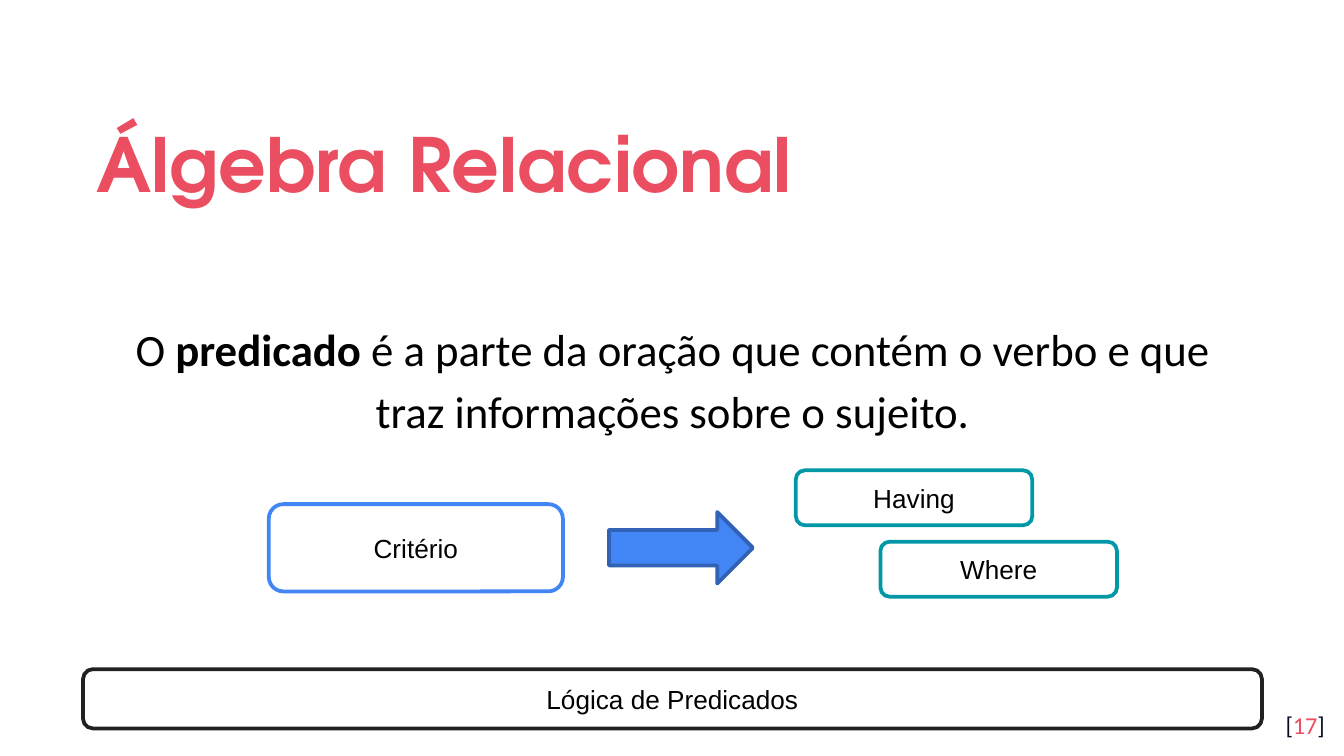
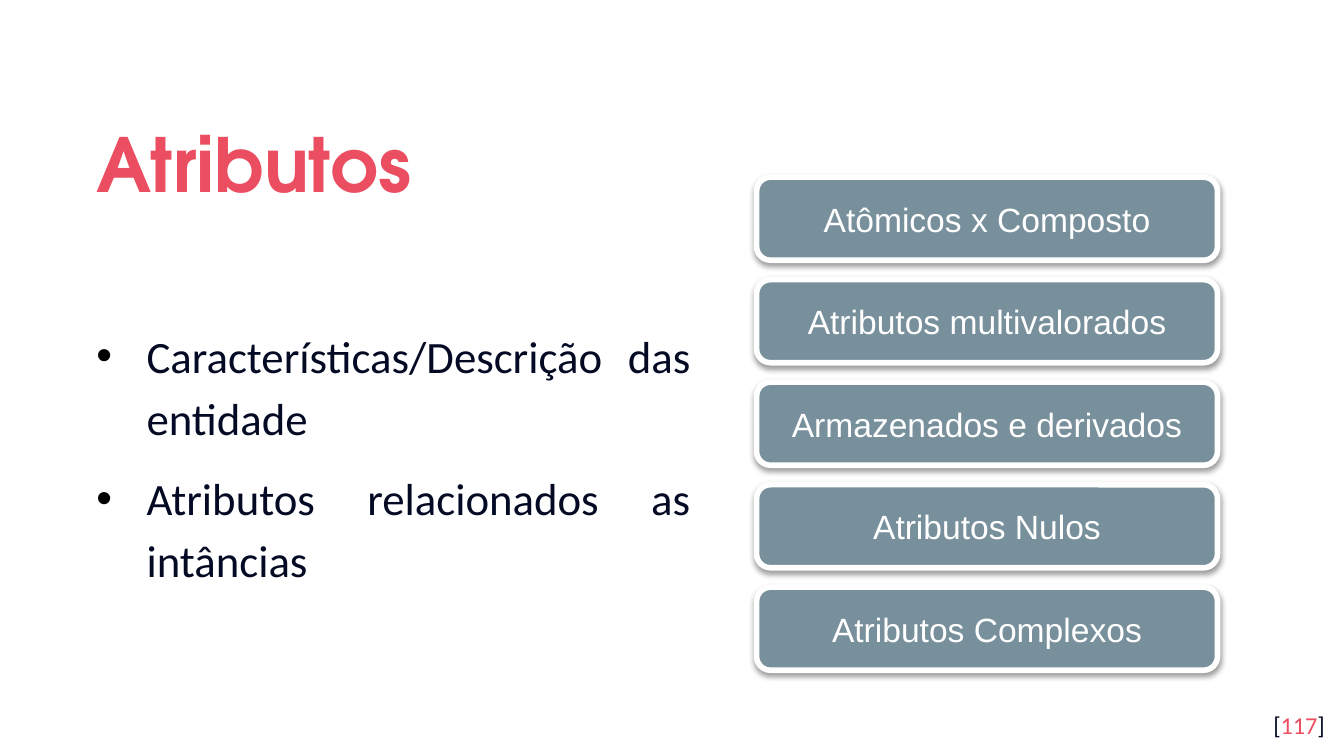
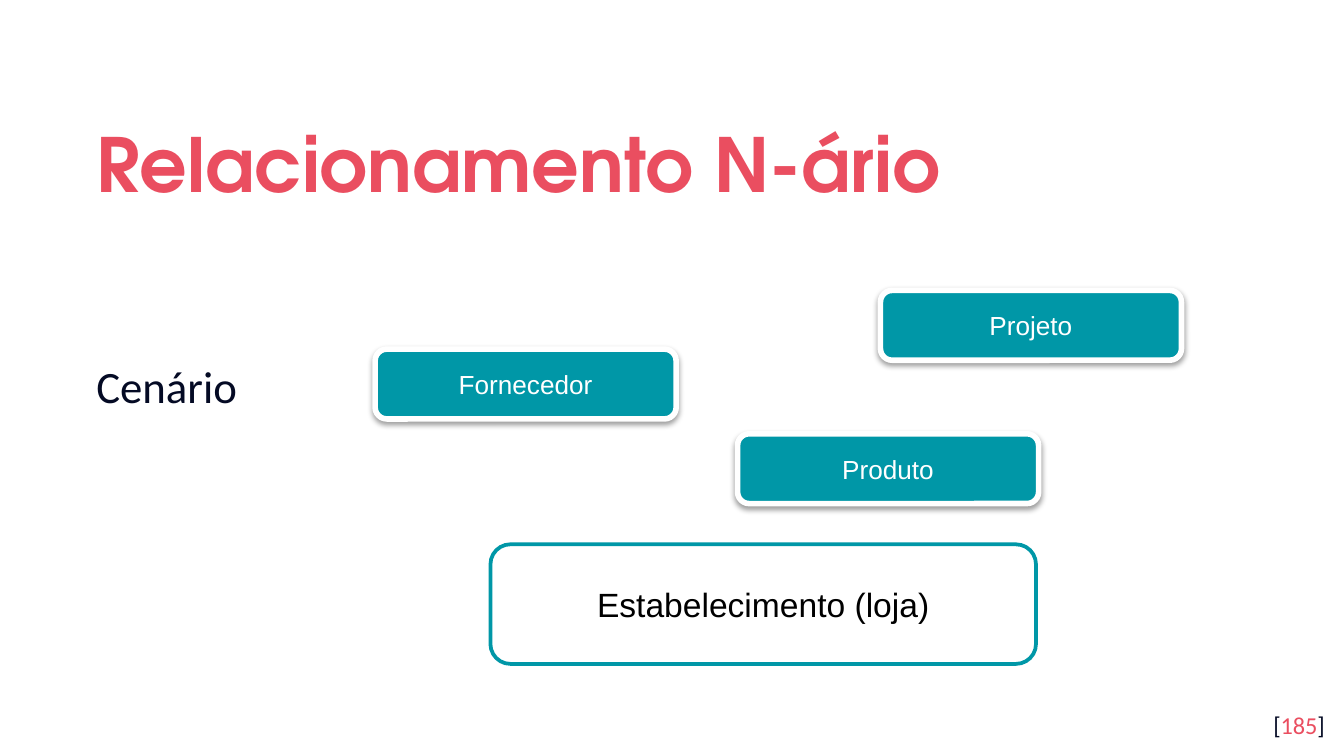
from dataclasses import dataclass

from lxml.etree import SubElement
from pptx import Presentation
from pptx.dml.color import RGBColor
from pptx.enum.shapes import MSO_SHAPE as Shape
from pptx.enum.text import MSO_ANCHOR as Anchor, MSO_AUTO_SIZE as AutoSize, PP_ALIGN as Align
from pptx.oxml.ns import qn
from pptx.util import Cm, Pt


@dataclass(frozen=True)
class Theme:
    title_font: str = "TeX Gyre Adventor"
    body_font: str = "Calibri"
    shape_font: str = "Arial"
    coral: str = "EA4E60"
    navy: str = "040A24"
    black: str = "000000"
    white: str = "FFFFFF"
    charcoal: str = "212121"
    blue: str = "4285F4"
    dark_blue: str = "3162B5"
    teal: str = "0097A7"
    slate: str = "78909C"
    title_size: int = 40
    body_size: int = 24
    large_size: int = 18
    label_size: int = 14
    number_size: int = 13
    outline: int = 2
    card_outline: int = 3


@dataclass(frozen=True)
class Box:
    """A rectangle in centimetres."""
    left: float
    top: float
    width: float
    height: float

    def inner(self, left, top, width, height):
        return Box(self.left + left, self.top + top, width, height)

    def lengths(self):
        return [Cm(value) for value in (self.left, self.top, self.width, self.height)]


THEME = Theme()
PAGE = Box(0, 0, 25.4, 14.29)
TITLE = Box(1.57, 1.78, 22.28, 2.34)
BODY = Box(1.57, 4.11, 22.28, 8.56)
HALF_BODY = Box(1.57, 4.11, 11.73, 8.56)
NUMBER = Box(23.77, 13.18, 1.52, 1.09)
INSET = 0.25


def apply(target, values):
    for name, value in values.items():
        setattr(target, name, value)


def add_run(paragraph, text, font, size, color, bold=False):
    run = paragraph.add_run()
    run.text = text
    apply(run.font, {"name": font, "size": Pt(size), "bold": bold})
    run.font.color.rgb = RGBColor.from_string(color)


def set_frame(frame, anchor, top=INSET, bottom=INSET):
    apply(frame, {
        "auto_size": AutoSize.NONE, "word_wrap": True, "vertical_anchor": anchor,
        "margin_left": Cm(INSET), "margin_right": Cm(INSET),
        "margin_top": Cm(top), "margin_bottom": Cm(bottom),
    })


def set_place(shape, box):
    apply(shape, dict(zip(("left", "top", "width", "height"), box.lengths())))


def set_bullet(paragraph, bulleted):
    properties = paragraph._p.get_or_add_pPr()
    indent = Cm(0.95) if bulleted else 0
    properties.set("marL", str(indent))
    properties.set("indent", str(-indent))
    if bulleted:
        color = SubElement(properties, qn("a:buClr"))
        SubElement(color, qn("a:srgbClr"), val=THEME.black)
        SubElement(properties, qn("a:buFont"), typeface=THEME.shape_font)
        SubElement(properties, qn("a:buChar"), char="•")
    else:
        SubElement(properties, qn("a:buNone"))


def add_page(presentation, title, number):
    """Add a slide with its title and bracketed page number."""
    slide = presentation.slides.add_slide(presentation.slide_layouts[1])
    set_place(slide.shapes.title, TITLE)
    frame = slide.shapes.title.text_frame
    set_frame(frame, Anchor.MIDDLE)
    paragraph = frame.paragraphs[0]
    apply(paragraph, {"alignment": Align.LEFT, "line_spacing": 1.15})
    add_run(paragraph, title, THEME.title_font, THEME.title_size, THEME.coral, True)

    frame = slide.shapes.add_textbox(*NUMBER.lengths()).text_frame
    set_frame(frame, Anchor.TOP)
    paragraph = frame.paragraphs[0]
    paragraph.alignment = Align.RIGHT
    for text, color in (("[", THEME.navy), (str(number), THEME.coral), ("]", THEME.navy)):
        add_run(paragraph, text, THEME.body_font, THEME.number_size, color)
    return slide


def fill_body(slide, box, paragraphs, alignment, color=THEME.navy, bulleted=False, **insets):
    """Write paragraphs, each a list of (text, bold) pairs, in the body placeholder."""
    body = slide.placeholders[1]
    set_place(body, box)
    frame = body.text_frame
    set_frame(frame, Anchor.MIDDLE, **insets)
    for index, pieces in enumerate(paragraphs):
        paragraph = frame.add_paragraph() if index else frame.paragraphs[0]
        set_bullet(paragraph, bulleted)
        apply(paragraph, {"alignment": alignment, "line_spacing": 1.15,
                          "space_before": Pt(10 if index else 0)})
        for text, bold in pieces:
            add_run(paragraph, text, THEME.body_font, THEME.body_size, color, bold)


def add_figure(shapes, kind, box, fill, line, line_width=THEME.outline):
    shape = shapes.add_shape(kind, *box.lengths())
    shape.shadow.inherit = False
    shape.fill.solid()
    shape.fill.fore_color.rgb = RGBColor.from_string(fill)
    shape.line.color.rgb = RGBColor.from_string(line)
    shape.line.width = Pt(line_width)
    return shape


def add_label(shape, text, size, color):
    apply(shape.text_frame, {"word_wrap": True, "vertical_anchor": Anchor.MIDDLE})
    paragraph = shape.text_frame.paragraphs[0]
    paragraph.alignment = Align.CENTER
    add_run(paragraph, text, THEME.shape_font, size, color)


def add_outlined(shapes, box, text, line, size=THEME.label_size):
    shape = add_figure(shapes, Shape.ROUNDED_RECTANGLE, box, THEME.white, line)
    add_label(shape, text, size, THEME.black)


def add_card(shapes, box, text, fill, size):
    """Add a filled box with a white edge and a soft shadow below."""
    shape = add_figure(shapes, Shape.ROUNDED_RECTANGLE, box, fill,
                       THEME.white, THEME.card_outline)
    effects = shape._element.spPr.find(qn("a:effectLst"))
    shadow = SubElement(effects, qn("a:outerShdw"), blurRad=str(Pt(3.1)),
                        dist=str(Pt(1.6)), dir="5400000", rotWithShape="0")
    color = SubElement(shadow, qn("a:srgbClr"), val=THEME.black)
    SubElement(color, qn("a:alpha"), val="38000")
    add_label(shape, text, size, THEME.white)


def draw_criterion(slide, box):
    shapes = slide.shapes.add_group_shape().shapes
    add_outlined(shapes, box.inner(0, 0.64, 5.56, 1.65), "Critério", THEME.blue)
    add_figure(shapes, Shape.RIGHT_ARROW, box.inner(6.43, 0.79, 2.72, 1.35),
               THEME.blue, THEME.dark_blue)
    for text, left, top in (("Having", 9.96, 0), ("Where", 11.56, 1.35)):
        add_outlined(shapes, box.inner(left, top, 4.47, 1.04), text, THEME.teal)


def draw_attribute_stack(slide, box, names):
    height = 1.57
    pitch = (box.height - height) / (len(names) - 1)
    for index, name in enumerate(names):
        add_card(slide.shapes, box.inner(0, index * pitch, box.width, height),
                 name, THEME.slate, THEME.large_size)


def draw_store(slide, box):
    add_outlined(slide.shapes, box.inner(2.18, 4.8, 10.31, 2.26),
                 "Estabelecimento (loja)", THEME.teal, THEME.large_size)
    for name, left, top in (("Fornecedor", 0, 1.11), ("Projeto", 9.55, 0),
                            ("Produto", 6.85, 2.71)):
        add_card(slide.shapes, box.inner(left, top, 5.69, 1.32),
                 name, THEME.teal, THEME.label_size)


def build_algebra(presentation):
    slide = add_page(presentation, "Álgebra Relacional", 17)
    sentence = [
        ("O ", False), ("predicado", True),
        (" é a parte da oração que contém o verbo e que traz informações sobre o sujeito.", False),
    ]
    fill_body(slide, BODY, [sentence], Align.CENTER, THEME.black, bottom=2.82)
    add_outlined(slide.shapes, Box(1.57, 12.65, 22.28, 1.12),
                 "Lógica de Predicados", THEME.charcoal)
    draw_criterion(slide, Box(5.08, 8.89, 16.03, 2.64))


def build_attributes(presentation):
    slide = add_page(presentation, "Atributos", 117)
    items = ["Características/Descrição das entidade", "Atributos relacionados as intâncias"]
    fill_body(slide, HALF_BODY, [[(item, False)] for item in items],
              Align.JUSTIFY, bulleted=True, top=0.61)
    draw_attribute_stack(slide, Box(14.3, 3.35, 8.71, 9.32), [
        "Atômicos x Composto", "Atributos multivalorados", "Armazenados e derivados",
        "Atributos Nulos", "Atributos Complexos",
    ])


def build_relationship(presentation):
    slide = add_page(presentation, "Relacionamento N-ário", 185)
    fill_body(slide, BODY, [[("Cenário", False)]], Align.LEFT, bottom=2.6)
    draw_store(slide, Box(7.09, 5.49, 15.24, 7.06))


def main():
    presentation = Presentation()
    apply(presentation, {"slide_width": Cm(PAGE.width), "slide_height": Cm(PAGE.height)})
    for build in (build_algebra, build_attributes, build_relationship):
        build(presentation)
    presentation.save("out.pptx")


if __name__ == "__main__":
    main()
